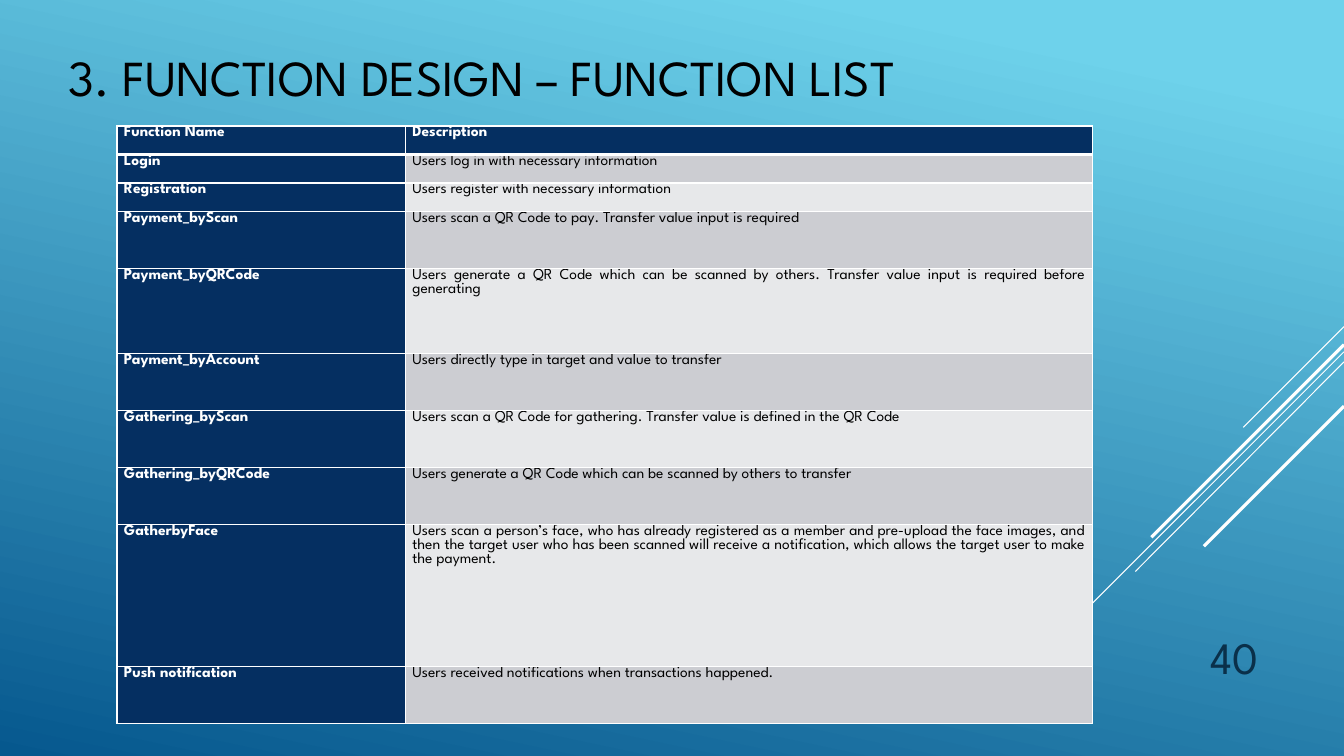
from lxml.etree import SubElement
from pptx import Presentation
from pptx.dml.color import RGBColor
from pptx.enum.shapes import MSO_CONNECTOR as Connector
from pptx.enum.text import MSO_ANCHOR as Anchor, PP_ALIGN as Align
from pptx.oxml.ns import qn
from pptx.util import Inches, Pt

FONT = "League Spartan"
WHITE, BLACK, NAVY = "FFFFFF", "000000", "052F61"
BANDS = ["CCCDD2", "E7E8EA"]
ROW_UNIT = 5.93 / 21
COLUMN_WIDTHS = [2.86, 6.82]

FUNCTIONS = [
    ("Function Name", "Description", 1),
    ("Login", "Users log in with necessary information", 1),
    ("Registration", "Users register with necessary information", 1),
    ("Payment_byScan", "Users scan a QR Code to pay. Transfer value input is required", 2),
    ("Payment_byQRCode", "Users generate a QR Code which can be scanned by others. "
     "Transfer value input is required before generating", 3),
    ("Payment_byAccount", "Users directly type in target and value to transfer", 2),
    ("Gathering_byScan", "Users scan a QR Code for gathering. "
     "Transfer value is defined in the QR Code", 2),
    ("Gathering_byQRCode", "Users generate a QR Code which can be scanned by others to transfer", 2),
    ("GatherbyFace", "Users scan a person’s face, who has already registered as a member and "
     "pre-upload the face images, and then the target user who has been scanned will receive "
     "a notification, which allows the target user to make the payment.", 5),
    ("Push notification", "Users received notifications when transactions happened.", 2),
]

DIAGONALS = [
    (3.24, 12.33, 4.24, 0.75),
    (3.49, 10.07, 6.75, 0.75),
    (3.59, 11.26, 5.67, 0.75),
    (3.42, 11.42, 5.33, 2.25),
    (4.03, 11.94, 5.42, 2.25),
]


def color(value):
    """Turn a hex string into a colour."""
    return RGBColor.from_string(value)


def paint_background(slide):
    """Fill the slide with the slanted blue gradient."""
    fill = slide.background.fill
    fill.gradient()
    fill.gradient_angle = 258
    for stop, (position, value) in zip(fill.gradient_stops, [(0.1, "6ED2EB"), (1, "06588E")]):
        stop.position = position
        stop.color.rgb = color(value)


def add_diagonal(slide, start_y, end_x, end_y, width):
    """Draw a white line from the right edge down to the left."""
    line = slide.shapes.add_connector(
        Connector.STRAIGHT, Inches(13.33), Inches(start_y), Inches(end_x), Inches(end_y))
    line.line.color.rgb = color(WHITE)
    line.line.width = Pt(width)
    SubElement(line._element.spPr, qn("a:effectLst"))


def write(text_frame, text, size, value, align, bold=False):
    """Put one formatted paragraph into a text frame."""
    text_frame.text = text
    paragraph = text_frame.paragraphs[0]
    paragraph.alignment = align
    font = paragraph.runs[0].font
    font.name, font.size, font.bold = FONT, Pt(size), bold
    font.color.rgb = color(value)


def add_text(slide, box, text, size, value, align, anchor):
    """Add a wrapped text box."""
    text_frame = slide.shapes.add_textbox(*map(Inches, box)).text_frame
    text_frame.word_wrap = True
    text_frame.vertical_anchor = anchor
    write(text_frame, text, size, value, align)


def set_borders(cell, top, bottom):
    """Give a cell white borders, with its own top and bottom widths."""
    properties = cell._tc.get_or_add_tcPr()
    for side, width in [("L", 1), ("R", 1), ("T", top), ("B", bottom)]:
        border = SubElement(properties, qn(f"a:ln{side}"), w=str(Pt(width)))
        fill = SubElement(border, qn("a:solidFill"))
        SubElement(fill, qn("a:srgbClr"), val=WHITE)


def fill_cell(cell, text, row, column):
    """Write and style one cell of the function table."""
    dark = row == 0 or column == 0
    set_borders(cell, 3 if row == 1 else 1, 3 if row == 0 else 1)
    cell.fill.solid()
    cell.fill.fore_color.rgb = color(NAVY if dark else BANDS[(row - 1) % 2])
    cell.margin_left = cell.margin_right = Inches(0.07)
    cell.margin_top = cell.margin_bottom = 0
    write(cell.text_frame, text, 11, WHITE if dark else BLACK, Align.JUSTIFY, dark)


def add_function_table(slide):
    """Add the table of functions and their descriptions."""
    table = slide.shapes.add_table(
        len(FUNCTIONS), len(COLUMN_WIDTHS),
        Inches(1.16), Inches(1.25), Inches(sum(COLUMN_WIDTHS)), Inches(5.93)).table
    for column, width in zip(table.columns, COLUMN_WIDTHS):
        column.width = Inches(width)
    for row, (name, description, units) in enumerate(FUNCTIONS):
        table.rows[row].height = Inches(units * ROW_UNIT)
        for column, text in enumerate([name, description]):
            fill_cell(table.cell(row, column), text, row, column)


def main():
    """Build the function list slide."""
    presentation = Presentation()
    presentation.slide_width, presentation.slide_height = Inches(13.33), Inches(7.5)
    slide = presentation.slides.add_slide(presentation.slide_layouts[6])
    paint_background(slide)
    for diagonal in DIAGONALS:
        add_diagonal(slide, *diagonal)
    add_text(slide, (0.58, 0, 9.33, 1.52), "3. FUNCTION DESIGN – FUNCTION LIST",
             36, BLACK, Align.LEFT, Anchor.MIDDLE)
    add_function_table(slide)
    add_text(slide, (11.33, 6.1, 1.25, 0.73), "40", 32, "0A304A", Align.RIGHT, Anchor.BOTTOM)
    presentation.save("out.pptx")


if __name__ == "__main__":
    main()
